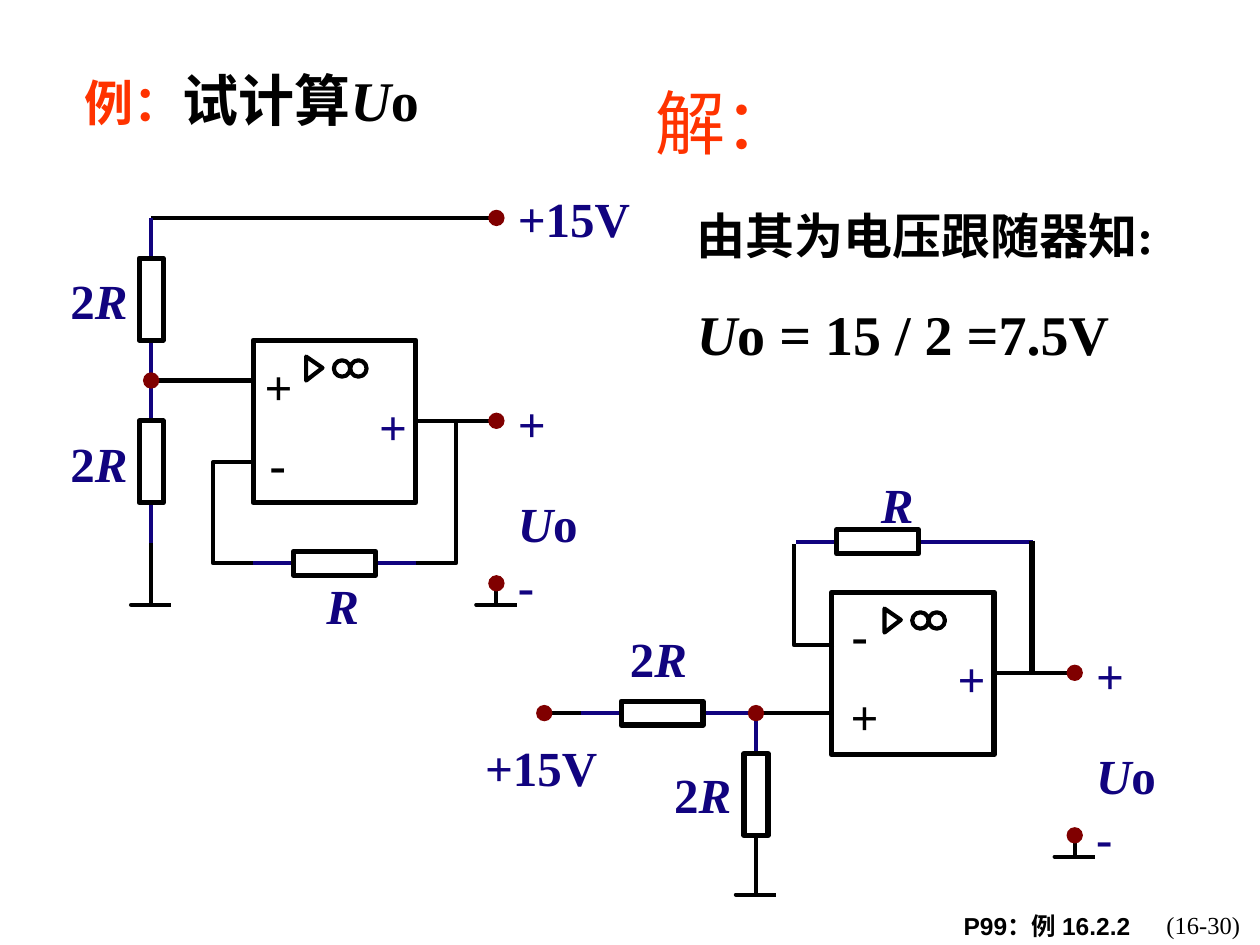
from dataclasses import dataclass

from lxml.etree import SubElement
from pptx import Presentation
from pptx.dml.color import RGBColor
from pptx.enum.shapes import MSO_CONNECTOR, MSO_SHAPE
from pptx.enum.text import MSO_ANCHOR, MSO_AUTO_SIZE, PP_ALIGN
from pptx.oxml.ns import qn
from pptx.slide import Slide
from pptx.util import Inches, Pt

BLACK, NAVY, RED, MAROON = "000000", "11037F", "FF3300", "800000"
SERIF, SANS, CHINESE = "Times New Roman", "Arial", "Noto Sans CJK SC"


def color(code):
    return RGBColor.from_string(code)


def grid(units):
    return Inches(units / 10)


@dataclass
class Circuit:
    """Draws text and circuit elements on a grid of 100 columns by 75 rows."""

    slide: Slide
    wire_width: float = 2.38
    outline_width: float = 3
    body_long: float = 6.5
    body_short: float = 1.9
    lead: float = 3.2
    dot_size: float = 1.3

    def place(self, shape, column, row, width, height, inset=1):
        shape.left, shape.top = grid(column), grid(row)
        shape.width, shape.height = grid(width), grid(height)
        frame = shape.text_frame
        frame.word_wrap = True
        frame.auto_size = MSO_AUTO_SIZE.NONE
        frame.vertical_anchor = MSO_ANCHOR.TOP
        frame.margin_left = frame.margin_right = grid(inset)
        frame.margin_top = frame.margin_bottom = grid(inset / 2)
        return frame

    def fill_paragraph(self, paragraph, text, size, code=BLACK, bold=True,
                       font=SERIF, align=PP_ALIGN.LEFT, before=0):
        properties = paragraph._p.get_or_add_pPr()
        properties.set("marL", "0")
        properties.set("indent", "0")
        SubElement(properties, qn("a:buNone"))
        paragraph.alignment = align
        paragraph.space_before = Pt(before)
        paragraph.font.name = font
        paragraph.font.size = Pt(size)
        paragraph.font.bold = bold
        paragraph.font.color.rgb = color(code)
        for index, piece in enumerate(text.split("*")):
            if piece:
                run = paragraph.add_run()
                run.text = piece
                if index % 2:
                    run.font.italic = True

    def title(self, prefix, text, column, row, width, height):
        frame = self.place(self.slide.shapes.title, column, row, width, height)
        paragraph = frame.paragraphs[0]
        run = paragraph.add_run()
        run.text = prefix
        run.font.name = CHINESE
        run.font.size = Pt(28)
        run.font.color.rgb = color(RED)
        self.fill_paragraph(paragraph, text, 32)

    def body(self, lines, column, row, width, height):
        frame = self.place(self.slide.placeholders[1], column, row, width, height)
        for index, (text, size, before) in enumerate(lines):
            paragraph = frame.add_paragraph() if index else frame.paragraphs[0]
            self.fill_paragraph(paragraph, text, size, before=before)

    def text(self, text, column, row, width, height, size, inset=1, **style):
        box = self.slide.shapes.add_textbox(0, 0, 0, 0)
        frame = self.place(box, column, row, width, height, inset)
        self.fill_paragraph(frame.paragraphs[0], text, size, **style)

    def label(self, text, column, row, code=NAVY):
        width = 2.5 * len(text.replace("*", ""))
        self.text(text, column, row, width, 4.7, 28, inset=0, code=code)

    def stroke(self, shape, code=BLACK, width=None):
        shape.line.color.rgb = color(code)
        shape.line.width = Pt(width or self.wire_width)

    def wire(self, start, end, code=BLACK, width=None):
        connector = self.slide.shapes.add_connector(
            MSO_CONNECTOR.STRAIGHT, *map(grid, start + end))
        self.stroke(connector, code, width)
        SubElement(connector._element.spPr, qn("a:effectLst"))

    def bent_wire(self, *points, close=False):
        corners = [(grid(column), grid(row)) for column, row in points]
        builder = self.slide.shapes.build_freeform(*corners[0])
        builder.add_line_segments(corners[1:], close=close)
        shape = builder.convert_to_shape()
        shape.fill.background()
        shape.shadow.inherit = False
        self.stroke(shape)

    def outline(self, kind, column, row, width, height, line_width):
        shape = self.slide.shapes.add_shape(
            kind, *map(grid, (column, row, width, height)))
        shape.shadow.inherit = False
        shape.fill.background()
        self.stroke(shape, width=line_width)
        return shape

    def resistor(self, column, row, vertical=False, after=None):
        after = self.lead if after is None else after
        half = self.body_short / 2
        if vertical:
            frame = column - half, row, self.body_short, self.body_long
        else:
            frame = column, row - half, self.body_long, self.body_short
        for near, far in ((-self.lead, 0), (self.body_long, self.body_long + after)):
            if near != far:
                ends = [(column, row + step) if vertical else (column + step, row)
                        for step in (near, far)]
                self.wire(*ends, code=NAVY)
        self.outline(MSO_SHAPE.RECTANGLE, *frame, self.outline_width)

    def dot(self, column, row):
        half = self.dot_size / 2
        shape = self.outline(MSO_SHAPE.OVAL, column - half, row - half,
                             self.dot_size, self.dot_size, self.wire_width)
        shape.fill.solid()
        shape.fill.fore_color.rgb = color(MAROON)
        shape.line.fill.background()

    def ground(self, column, row, stem):
        foot = row + stem
        self.bent_wire((column, row), (column, foot),
                       (column - 1.6, foot), (column + 1.6, foot))

    def amplifier(self, column, row):
        self.outline(MSO_SHAPE.RECTANGLE, column, row, 12.9, 12.9, self.outline_width)
        self.bent_wire((column + 4.2, row + 3.2), (column + 4.2, row + 1.3),
                       (column + 5.5, row + 2.2), close=True)
        for offset in (6.4, 7.7):
            self.outline(MSO_SHAPE.OVAL, column + offset, row + 1.6,
                         1.3, 1.3, self.wire_width)
        self.label("+", column + 10, row + 4.5)
        terminal, output = column + 19.3, row + 6.4
        self.wire((column + 12.9, output), (terminal, output))
        self.ground(terminal, row + 19.3, 1.7)
        self.dot(terminal, output)
        self.dot(terminal, row + 19.3)
        for text, offset in (("+", 4.2), ("*U*o", 12.2), ("-", 17.1)):
            self.label(text, column + 21, row + offset)


def draw_divider_circuit(circuit):
    circuit.wire((12, 17.3), (39.4, 17.3))
    circuit.resistor(12, 20.5, vertical=True)
    circuit.resistor(12, 33.4, vertical=True)
    circuit.ground(12, 43.1, 4.9)
    circuit.wire((12, 30.2), (20.1, 30.2))
    circuit.amplifier(20.1, 27)
    circuit.bent_wire((36.2, 33.4), (36.2, 44.7), (33, 44.7))
    circuit.resistor(23.3, 44.7)
    circuit.bent_wire((20.1, 44.7), (16.9, 44.7), (16.9, 36.7), (20.1, 36.7))
    circuit.dot(12, 30.2)
    circuit.dot(39.4, 17.3)
    circuit.label("+", 21, 28.3, BLACK)
    circuit.label("-", 21.4, 34.4, BLACK)
    for text, column, row in (("+15V", 41.1, 15), ("2*R*", 5.6, 21.5),
                              ("2*R*", 5.6, 34.4), ("*R*", 25.9, 45.7)):
        circuit.label(text, column, row)


def draw_redrawn_circuit(circuit):
    circuit.wire((43.2, 56.6), (46.1, 56.6))
    circuit.resistor(49.3, 56.6, after=3.9)
    circuit.wire((60, 56.6), (66, 56.6))
    circuit.resistor(60, 59.8, vertical=True, after=0)
    circuit.ground(60, 66.2, 4.8)
    circuit.amplifier(66, 47)
    circuit.resistor(66.4, 43, after=9.1)
    circuit.bent_wire((66.2, 51.2), (63, 51.2), (63, 43.2))
    circuit.wire((81.9, 42.9), (81.9, 53.4), width=circuit.outline_width)
    circuit.dot(43.2, 56.6)
    circuit.dot(60, 56.6)
    circuit.label("-", 67.6, 48, BLACK)
    circuit.label("+", 67.5, 54.5, BLACK)
    for text, column, row in (("2*R*", 50, 49.9), ("+15V", 38.5, 58.5),
                              ("2*R*", 53.5, 60.7), ("*R*", 69.9, 37.7)):
        circuit.label(text, column, row)


def main():
    presentation = Presentation()
    presentation.slide_width, presentation.slide_height = grid(100), grid(75)
    circuit = Circuit(presentation.slides.add_slide(presentation.slide_layouts[1]))
    circuit.title("例：", "试计算*U*o", 5.7, 4.7, 35, 6.4)
    circuit.text("解：", 51, 5.8, 13.1, 7.7, 40, code=RED, bold=False)
    circuit.body([("由其为电压跟随器知:", 28, 0), ("*U*o = 15 / 2 =7.5V", 32, 20)],
                 54.3, 15.8, 43.1, 13.8)
    draw_divider_circuit(circuit)
    draw_redrawn_circuit(circuit)
    circuit.text("P99：例 16.2.2", 75.5, 71.8, 17.3, 3.2, 14, font=SANS)
    circuit.text("(16-30)", 91, 71.7, 9, 3.3, 14, bold=False, align=PP_ALIGN.CENTER)
    presentation.save("out.pptx")


if __name__ == "__main__":
    main()
